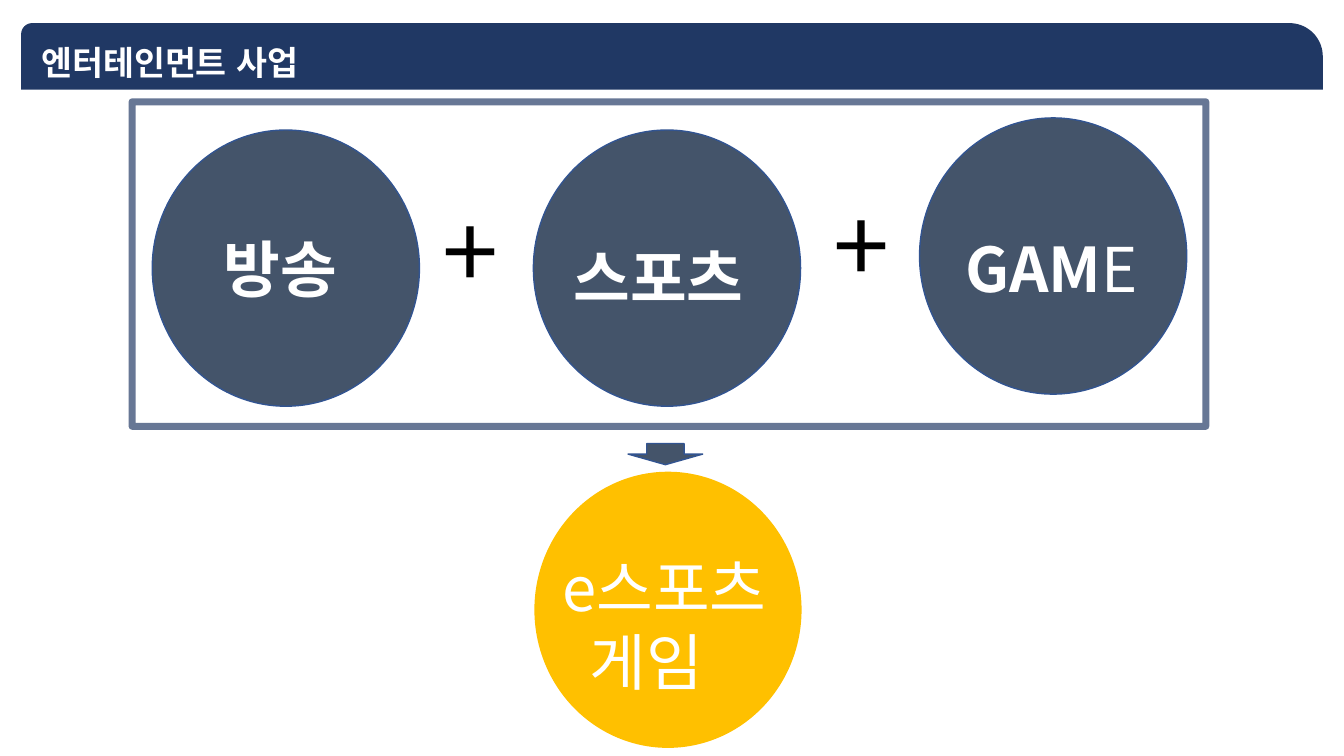
"""Build the entertainment business slide."""
import math
from dataclasses import dataclass

from lxml import etree
from pptx import Presentation
from pptx.dml.color import RGBColor
from pptx.enum.shapes import MSO_SHAPE
from pptx.enum.text import MSO_ANCHOR, MSO_AUTO_SIZE, PP_ALIGN
from pptx.oxml.ns import qn
from pptx.util import Pt

ELLIPSE, RECTANGLE, DOWN_ARROW = MSO_SHAPE.OVAL, MSO_SHAPE.RECTANGLE, MSO_SHAPE.DOWN_ARROW
TOP, LEFT = MSO_ANCHOR.TOP, PP_ALIGN.LEFT
NO_FIT = MSO_AUTO_SIZE.NONE
TITLE_ONLY = 5
EMU_PER_PX = 9144


@dataclass(frozen=True)
class Theme:
    navy: str = "203864"
    slate: str = "44546A"
    outline: str = "325491"
    gold: str = "FFC000"
    white: str = "FFFFFF"
    black: str = "000000"
    title_font: str = "Arial"
    body_font: str = "Noto Sans CJK KR"
    title_size: int = 24
    label_size: int = 44
    plus_size: int = 72


@dataclass(frozen=True)
class Frame:
    left: int
    top: int
    width: int
    height: int

    def emu(self) -> list[int]:
        return [px(n) for n in (self.left, self.top, self.width, self.height)]


@dataclass(frozen=True)
class Span:
    text: str
    size: int
    color: str
    bold: bool = False
    font: str = "Noto Sans CJK KR"


@dataclass(frozen=True)
class Line:
    spans: tuple[Span, ...]
    indent: int = 0


@dataclass(frozen=True)
class Label:
    frame: Frame
    lines: tuple[Line, ...]


@dataclass(frozen=True)
class Figure:
    kind: int
    frame: Frame
    fill: str | None
    line: str | None = None
    weight: int = 1
    opacity: int = 100


THEME = Theme()


def px(length: float) -> int:
    return round(length * EMU_PER_PX)


def rgb(color: str) -> RGBColor:
    return RGBColor.from_string(color)


def word(text: str, bold: bool = True) -> Span:
    return Span(text, THEME.label_size, THEME.white, bold)


def circle(left: int, top: int, fill: str, line: str | None = None) -> Figure:
    return Figure(ELLIPSE, Frame(left, top, 265, 274), fill, line)


def plus(left: int, top: int) -> Label:
    return Label(Frame(left, top, 91, 131), (Line((Span("+", THEME.plus_size, THEME.black),)),))


FIGURES = (
    circle(530, 468, THEME.gold),
    Figure(RECTANGLE, Frame(131, 101, 1065, 322), None, THEME.navy, 5, 68),
    circle(912, 117, THEME.slate, THEME.outline),
    circle(529, 129, THEME.slate, THEME.outline),
    circle(151, 129, THEME.slate, THEME.outline),
    Figure(DOWN_ARROW, Frame(623, 440, 74, 21), THEME.slate, THEME.outline),
)
LABELS = (
    Label(Frame(548, 541, 260, 158),
          (Line((word("e스포츠", False),)), Line((word("게임", False),), 27))),
    Label(Frame(212, 224, 144, 84), (Line((word("방송"),)),)),
    Label(Frame(559, 233, 205, 84), (Line((word("스포츠"),)),)),
    Label(Frame(948, 224, 200, 84), (Line((word("GAM"), word("E", False))),)),
    plus(429, 182),
    plus(817, 176),
)
TITLE = Label(Frame(31, 37, 667, 50), (Line((
    Span("엔터테인먼트 사업", THEME.title_size, THEME.white, True, THEME.title_font),)),))


def corner(center_x: int, center_y: int, radius: int, start: int) -> list[tuple[float, float]]:
    angles = [math.radians(start + step) for step in range(0, 91, 5)]
    return [(center_x + radius * math.cos(a), center_y + radius * math.sin(a)) for a in angles]


def draw_banner(page) -> None:
    points = [(21, 89), *corner(32, 34, 11, 180), *corner(1279, 56, 33, 270), (1312, 89)]
    outline = [(px(x), px(y)) for x, y in points]
    builder = page.shapes.build_freeform(*outline[0], scale=1.0)
    builder.add_line_segments(outline[1:], close=True)
    banner = builder.convert_to_shape()
    banner.shadow.inherit = False
    banner.fill.solid()
    banner.fill.fore_color.rgb = rgb(THEME.navy)
    banner.line.fill.background()


def draw_figure(page, figure: Figure) -> None:
    shape = page.shapes.add_shape(figure.kind, *figure.frame.emu())
    shape.shadow.inherit = False
    if figure.fill:
        shape.fill.solid()
        shape.fill.fore_color.rgb = rgb(figure.fill)
    else:
        shape.fill.background()
    if not figure.line:
        shape.line.fill.background()
        return
    shape.line.color.rgb = rgb(figure.line)
    shape.line.width = Pt(figure.weight)
    if figure.opacity < 100:
        color = shape.line._ln.find(".//" + qn("a:srgbClr"))
        etree.SubElement(color, qn("a:alpha"), val=str(figure.opacity * 1000))


def write(box, label: Label, wrap: bool) -> None:
    box.left, box.top, box.width, box.height = label.frame.emu()
    frame = box.text_frame
    frame.word_wrap = wrap
    frame.auto_size = NO_FIT
    frame.vertical_anchor = TOP
    for index, line in enumerate(label.lines):
        para = frame.add_paragraph() if index else frame.paragraphs[0]
        para.alignment = LEFT
        if line.indent:
            para._p.get_or_add_pPr().set("marL", str(px(line.indent)))
        for span in line.spans:
            run = para.add_run()
            run.text = span.text
            run.font.name = span.font
            run.font.size = Pt(span.size)
            run.font.bold = span.bold
            run.font.color.rgb = rgb(span.color)
            etree.SubElement(run.font._element, qn("a:ea"), typeface=span.font)


def main() -> None:
    deck = Presentation()
    deck.slide_width, deck.slide_height = px(1333), px(750)
    page = deck.slides.add_slide(deck.slide_layouts[TITLE_ONLY])
    draw_banner(page)
    title = page.shapes.title
    page.shapes._spTree.append(title._element)
    write(title, TITLE, True)
    for figure in FIGURES:
        draw_figure(page, figure)
    for label in LABELS:
        write(page.shapes.add_textbox(*label.frame.emu()), label, False)
    deck.save("out.pptx")


if __name__ == "__main__":
    main()
